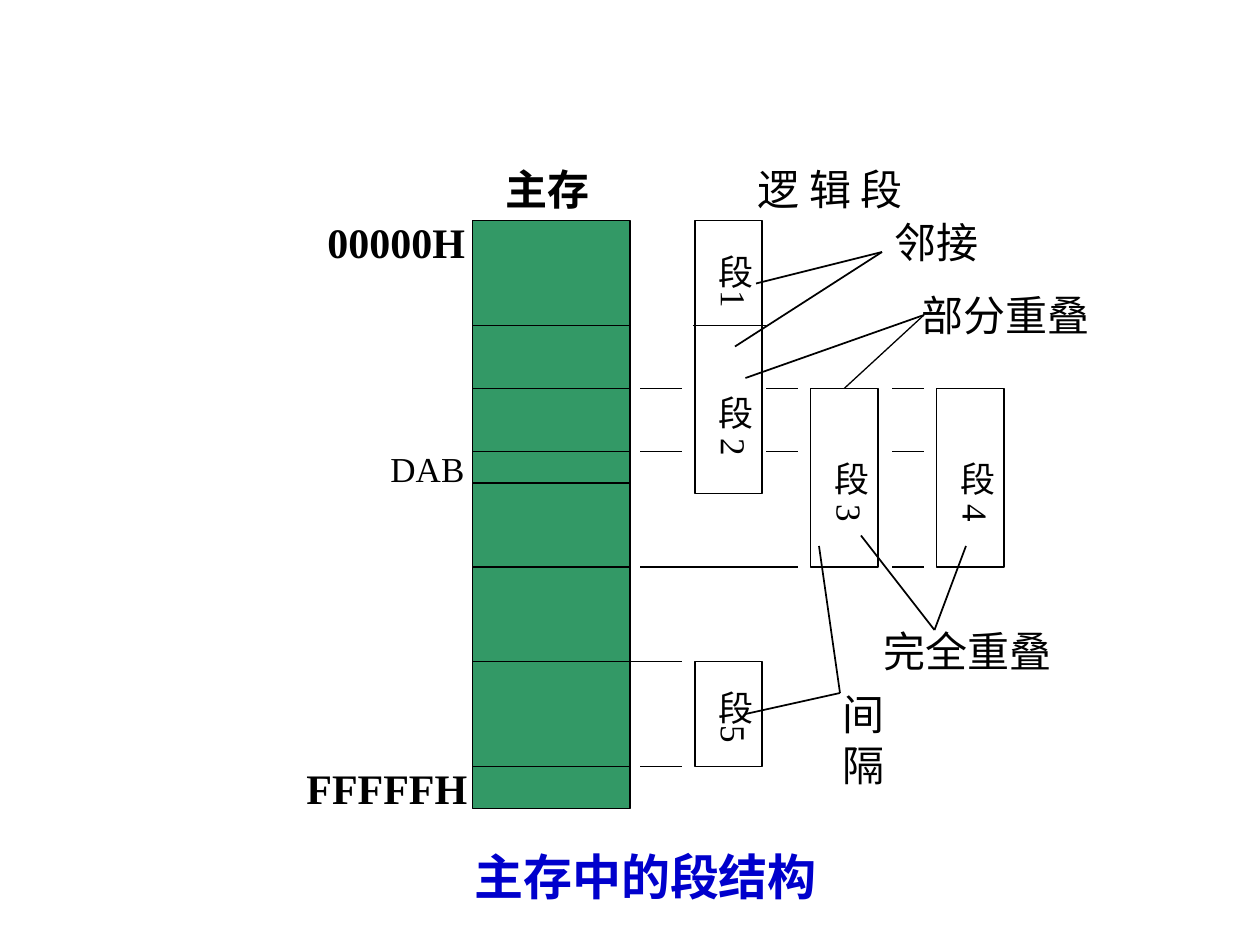
"""Build a slide showing how logical segments lie in main memory."""
from lxml import etree
from pptx import Presentation
from pptx.dml.color import RGBColor
from pptx.enum.shapes import MSO_CONNECTOR, MSO_SHAPE
from pptx.enum.text import MSO_ANCHOR, PP_ALIGN
from pptx.oxml.ns import qn
from pptx.util import Emu, Pt

PX = 914400 // 120
RECTANGLE = MSO_SHAPE.RECTANGLE
STRAIGHT = MSO_CONNECTOR.STRAIGHT
LEFT = PP_ALIGN.LEFT
TOP = MSO_ANCHOR.TOP
BLACK, GREEN, BLUE = "000000", "339966", "0000CC"
LATIN, CHINESE = "Times New Roman", "Noto Sans CJK SC"


def add_line(x1, y1, x2, y2, width=1):
    line = slide.shapes.add_connector(STRAIGHT, x1 * PX, y1 * PX, x2 * PX, y2 * PX)
    line.line.color.rgb = RGBColor.from_string(BLACK)
    line.line.width = Pt(width)
    etree.SubElement(line._element.spPr, qn("a:effectLst"))
    return line


def add_text(paragraph, text, size, color=BLACK, bold=False):
    paragraph.alignment = LEFT
    run = paragraph.add_run()
    run.text = text
    run.font.size = Pt(size)
    run.font.bold = bold
    run.font.name = LATIN
    run.font.color.rgb = RGBColor.from_string(color)
    etree.SubElement(run.font._element, qn("a:ea"), typeface=CHINESE)


presentation = Presentation()
presentation.slide_width = Emu(1200 * PX)
presentation.slide_height = Emu(900 * PX)
slide = presentation.slides.add_slide(presentation.slide_layouts[6])

memory = slide.shapes.add_shape(RECTANGLE, 450 * PX, 210 * PX, 150 * PX, 560 * PX)
memory.shadow.inherit = False
memory.fill.solid()
memory.fill.fore_color.rgb = RGBColor.from_string(GREEN)
memory.line.color.rgb = RGBColor.from_string(BLACK)
memory.line.width = Pt(1)
for y in (310, 370, 430, 460, 540, 630, 730):
    add_line(450, y, 600, y)

SEGMENTS = [
    (662, 210, 260, 33, "段1\t段 2"),
    (772, 370, 170, 70, "段 3"),
    (892, 370, 170, 70, "段 4"),
    (662, 630, 100, 28, "段5"),
]
segment_boxes = []
for x, y, height, text_start, text in SEGMENTS:
    segment = slide.shapes.add_shape(RECTANGLE, x * PX, y * PX, 64 * PX, height * PX)
    segment.shadow.inherit = False
    segment.fill.background()
    segment.line.color.rgb = RGBColor.from_string(BLACK)
    segment.line.width = Pt(1)
    frame = segment.text_frame
    frame.word_wrap = True
    frame.vertical_anchor = TOP
    frame.margin_left = frame.margin_right = 6 * PX
    frame.margin_top, frame.margin_bottom = text_start * PX, 0
    frame._txBody.bodyPr.set("vert", "eaVert")
    paragraph = frame.paragraphs[0]
    add_text(paragraph, text, 20)
    if "\t" in text:
        tab_stops = etree.SubElement(paragraph._p.get_or_add_pPr(), qn("a:tabLst"))
        etree.SubElement(tab_stops, qn("a:tab"), pos=str(134 * PX), algn="l")
    segment_boxes.append(segment)

add_line(730, 310, 660, 310)
for y in (370, 430):
    for start, end in ((610, 650), (730, 760), (850, 880)):
        add_line(start, y, end, y)
for start, end, y in ((610, 760, 540), (850, 880, 540), (600, 650, 630), (610, 650, 730)):
    add_line(start, y, end, y)

POINTERS = [
    (840, 240, [(700, 330), (720, 270)]),
    (880, 300, [(710, 360)]),
    (890, 600, [(820, 510), (920, 520)]),
    (800, 660, [(710, 680), (780, 520)]),
]
for x, y, targets in POINTERS:
    for target_x, target_y in targets:
        add_line(x, y, target_x, target_y)
overlap_pointer = add_line(880, 300, 804, 370, 0.75)
overlap_pointer.end_connect(segment_boxes[1], 0)

LABELS = [
    ("主存", 470, 150, 150, 60, 24, BLACK, True, True),
    ("00000H", 300, 200, 170, 60, 24, BLACK, True, True),
    ("FFFFFH", 280, 720, 220, 60, 24, BLACK, True, True),
    ("DAB", 360, 420, 100, 53, 20, BLACK, False, True),
    ("逻 辑 段", 710, 150, 190, 60, 24, BLACK, False, True),
    ("邻接", 840, 200, 110, 60, 24, BLACK, False, True),
    ("部分重叠", 866, 270, 184, 60, 24, BLACK, False, False),
    ("完全重叠", 830, 590, 184, 60, 24, BLACK, False, False),
    ("间隔", 791, 650, 103, 60, 24, BLACK, False, False),
    ("主存中的段结构", 440, 800, 420, 68, 28, BLUE, True, True),
]
for text, x, y, width, height, size, color, bold, wrap in LABELS:
    label = slide.shapes.add_textbox(x * PX, y * PX, width * PX, height * PX)
    label.text_frame.word_wrap = wrap
    add_text(label.text_frame.paragraphs[0], text, size, color, bold)

presentation.save("out.pptx")
